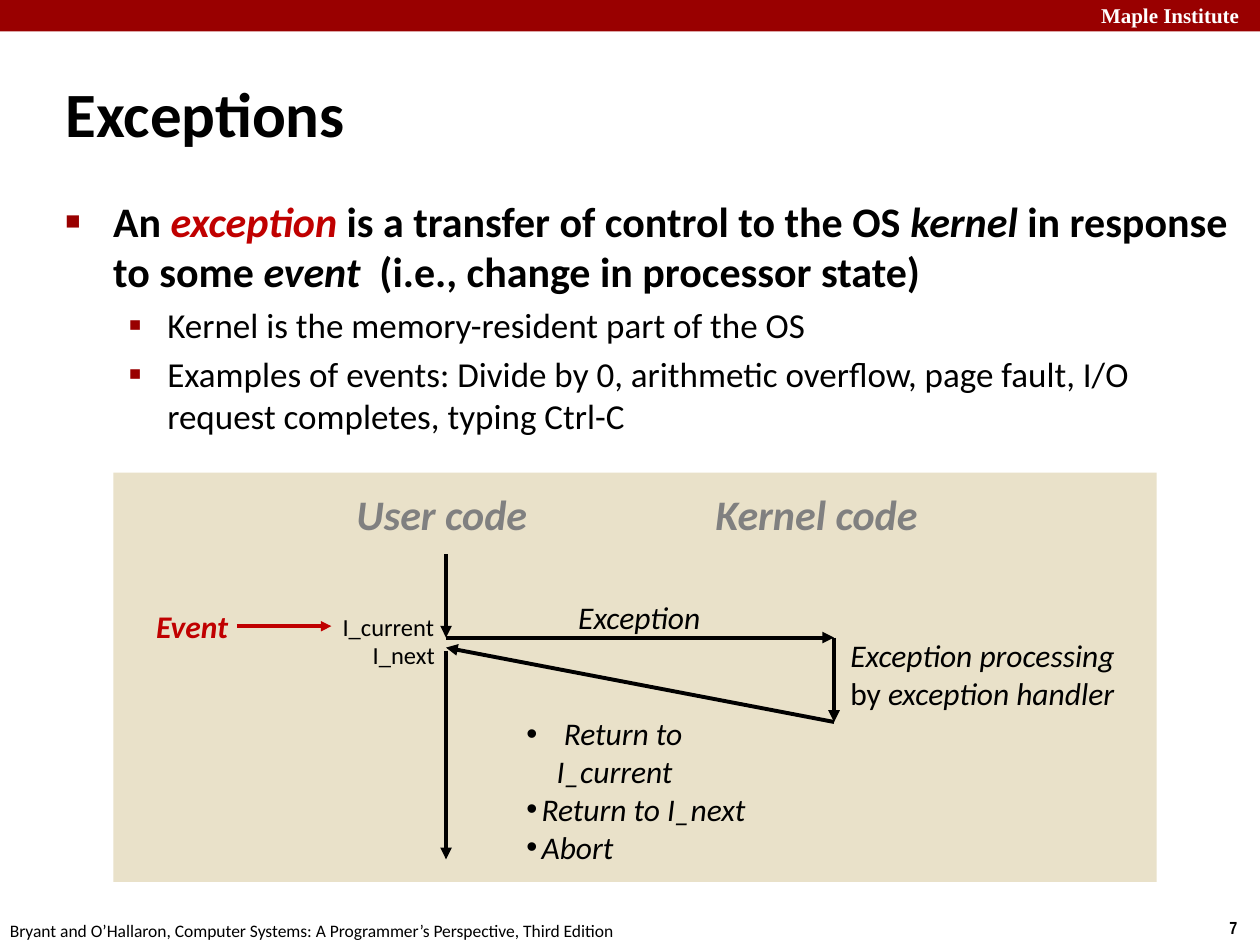
from lxml.etree import SubElement
from pptx import Presentation
from pptx.dml.color import RGBColor
from pptx.enum.shapes import MSO_CONNECTOR, MSO_SHAPE
from pptx.enum.text import MSO_ANCHOR, PP_ALIGN
from pptx.oxml.ns import qn
from pptx.util import Inches, Pt

COLORS = {"red": "990000", "event": "C00000", "sand": "E9E1C9",
          "gray": "808080", "black": "000000", "white": "FFFFFF"}
PLAIN = {"size": Pt(18), "name": "Calibri", "bold": False, "italic": False}
ITALIC = {"italic": True}
HEAD = {"size": Pt(24), "bold": True, "italic": True, "color": "gray"}


def tint(name):
    """Return the named colour."""
    return RGBColor.from_string(COLORS[name])


def add_runs(para, runs, base):
    """Add (text, format) runs over the base format."""
    for text, extra in runs:
        look = {**PLAIN, "color": "black", **base, **extra}
        run = para.add_run()
        run.text = text
        run.font.color.rgb = tint(look.pop("color"))
        for key, value in look.items():
            setattr(run.font, key, value)


def add_mark(para, char, left, hang, color="black", size=100):
    """Give a paragraph a hanging bullet."""
    props = para._p.get_or_add_pPr()
    props.set("marL", str(Inches(left)))
    props.set("indent", str(-Inches(hang)))
    hue = SubElement(props, qn("a:buClr"))
    SubElement(hue, qn("a:srgbClr"), val=COLORS[color])
    SubElement(props, qn("a:buSzPct"), val=str(size * 1000))
    SubElement(props, qn("a:buFont"), typeface="Arial")
    SubElement(props, qn("a:buChar"), char=char)


def add_text(slide, box, lines, base, wrap=False):
    """Add a text box with one list of runs per paragraph."""
    frame = slide.shapes.add_textbox(*map(Inches, box)).text_frame
    frame.word_wrap = wrap
    for i, runs in enumerate(lines):
        para = frame.add_paragraph() if i else frame.paragraphs[0]
        add_runs(para, runs, base)
    return frame


def add_rect(slide, box, color):
    """Add a plain filled rectangle."""
    rect = slide.shapes.add_shape(MSO_SHAPE.RECTANGLE, *map(Inches, box))
    rect.shadow.inherit = False
    rect.fill.solid()
    rect.fill.fore_color.rgb = tint(color)
    rect.line.fill.background()


def add_arrow(slide, start, end, color="black", width=2.25):
    """Add a straight arrow between two points."""
    arrow = slide.shapes.add_connector(
        MSO_CONNECTOR.STRAIGHT, *map(Inches, (*start, *end)))
    arrow.line.color.rgb = tint(color)
    arrow.line.width = Pt(width)
    SubElement(arrow.line._get_or_add_ln(), qn("a:tailEnd"), type="triangle")
    SubElement(arrow._element.spPr, qn("a:effectLst"))


def add_frame(slide):
    """Add the top band, the footer and the page number."""
    add_rect(slide, (0, 0, 10, 0.25), "red")
    add_text(slide, (8.64, -0.03, 1.43, 0.3), [[("Maple Institute", {})]],
             {"size": Pt(12), "name": "Times New Roman", "bold": True, "color": "white"})
    add_text(slide, (9.66, 7.23, 0.34, 0.27), [[("7", {})]],
             {"size": Pt(10), "name": "Arial Narrow", "bold": True})
    note = "Bryant and O’Hallaron, Computer Systems: A Programmer’s Perspective, Third Edition"
    add_text(slide, (-0.02, 7.25, 5.08, 0.27), [[(note, {})]], {"size": Pt(10)})


def add_title(slide, box):
    """Place and format the title."""
    title = slide.shapes.title
    for key, value in zip(("left", "top", "width", "height"), box):
        setattr(title, key, Inches(value))
    title.text_frame.vertical_anchor = MSO_ANCHOR.MIDDLE
    para = title.text_frame.paragraphs[0]
    para.alignment = PP_ALIGN.LEFT
    add_runs(para, [("Exceptions", {})], {"size": Pt(36), "bold": True})


def add_body(slide, box):
    """Add the main point and its two details."""
    top = {"size": Pt(24), "bold": True}
    lead = [("An ", top), ("exception", {**top, **ITALIC, "color": "event"}),
            (" is a transfer of control to the OS ", top),
            ("kernel", {**top, **ITALIC}), (" in response to some ", top),
            ("event", {**top, **ITALIC}),
            ("  (i.e., change in processor state)", top)]
    notes = ["Kernel is the memory-resident part of the OS",
             "Examples of events: Divide by 0, arithmetic overflow, "
             "page fault, I/O request completes, typing Ctrl-C"]
    frame = add_text(slide, box, [lead] + [[(note, {})] for note in notes],
                     {"size": Pt(20)}, wrap=True)
    first, *rest = frame.paragraphs
    first.space_before = Pt(4.8)
    add_mark(first, "■", 0.38, 0.38, "red", 60)
    for para in rest:
        para.level = 1
        para.space_before = Pt(4)
        add_mark(para, "▪", 0.81, 0.31, "red", 110)


def add_flow(slide, box):
    """Draw the control flow between user and kernel code."""
    x, y = box[:2]
    add_rect(slide, box, "sand")
    user, kern = x + 2.64, x + 5.72
    call, back = y + 1.31, y + 1.98
    arrows = [((user, y + 0.65), (user, call)), ((user, call), (kern, call)),
              ((kern, call), (kern, back)), ((kern, back), (user, y + 1.39)),
              ((user, y + 1.42), (user, y + 3.07))]
    for start, end in arrows:
        add_arrow(slide, start, end)
    add_arrow(slide, (x + 0.98, y + 1.22), (x + 1.73, y + 1.22), "event", 2)
    small = {"size": Pt(14)}
    labels = [("User code", 1.83, 0.08, 1.69, 0.5, HEAD),
              ("Kernel code", 4.68, 0.08, 1.95, 0.5, HEAD),
              ("Exception", 3.59, 0.95, 1.25, 0.4, ITALIC),
              ("Event", 0.24, 1.02, 0.88, 0.4, {**HEAD, "size": Pt(18), "color": "event"}),
              ("I_current", 1.72, 1.06, 0.95, 0.34, small),
              ("I_next", 1.96, 1.28, 0.71, 0.34, small)]
    for text, left, top, width, height, look in labels:
        add_text(slide, (x + left, y + top, width, height), [[(text, {})]], look)
    add_text(slide, (x + 5.75, y + 1.25, 2.35, 0.71),
             [[("Exception processing", ITALIC)],
              [("by ", {}), ("exception handler", ITALIC)]], {}, wrap=True)
    ways = [" Return to I_current", "Return to I_next", "Abort"]
    frame = add_text(slide, (x + 3.18, y + 1.87, 2.1, 1.32),
                     [[(way, {})] for way in ways], ITALIC, wrap=True)
    for para, left in zip(frame.paragraphs, (0.24, 0.12, 0.12)):
        add_mark(para, "•", left, left)


def main():
    """Build and save the slide."""
    deck = Presentation()
    deck.slide_width, deck.slide_height = Inches(10), Inches(7.5)
    slide = deck.slides.add_slide(deck.slide_layouts[5])
    add_frame(slide)
    add_title(slide, (0.42, 0.58, 3.67, 0.63))
    add_body(slide, (0.42, 1.5, 9.5, 2.08))
    add_flow(slide, (0.9, 3.75, 8.28, 3.25))
    deck.save("out.pptx")


if __name__ == "__main__":
    main()
